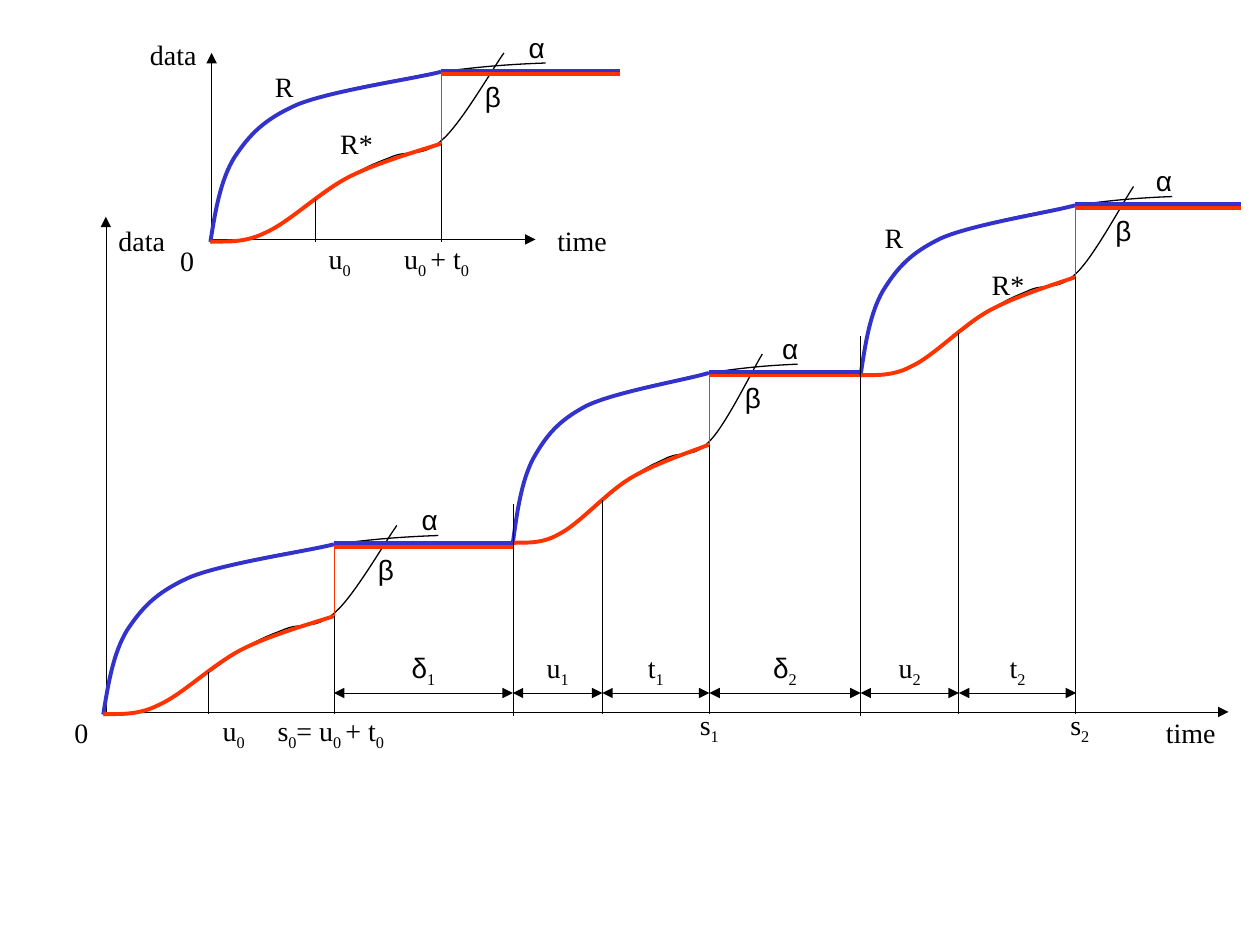
import itertools

import lxml.etree
import pptx
import pptx.dml.color
import pptx.enum.shapes
import pptx.enum.text
import pptx.oxml
import pptx.oxml.ns
import pptx.util

BLACK = pptx.dml.color.RGBColor(0x00, 0x00, 0x00)
BLUE = pptx.dml.color.RGBColor(0x33, 0x33, 0xCC)
RED = pptx.dml.color.RGBColor(0xFF, 0x33, 0x00)
SERIF, SANS = "Times New Roman", "Arial"

# Grid of 100 columns by 75 rows with square cells
WIDTH, HEIGHT = pptx.util.Inches(10), pptx.util.Inches(7.5)
CELL = WIDTH / 100
HAIR, THIN, THICK = 0.25, 0.75, 2.25
LABEL_H = 3.7
AXIS_Y, DIM_Y = 56.5, 55

# Bezier points after the start, as columns and rows from the stage's origin
UPPER_TREND = [(0.4, -2.5), (0.8, -4.9), (1.9, -6.7), (3.1, -8.5), (4.2, -9.8), (6.9, -10.9),
               (9.5, -12), (14.5, -12.8), (17.7, -13.4), (21, -13.9), (23.8, -14.1), (26.6, -14.2)]
LOWER_TREND = [(0.7, -0.1), (2.5, 0.2), (4.3, -0.7), (6.1, -1.5), (9.1, -4), (10.8, -5),
               (12.5, -6.1), (13.3, -6.3), (14.5, -6.8), (15.8, -7.3), (16.9, -6.7),
               (18.4, -8.1), (19.9, -9.4), (22.3, -13.6), (23.3, -15)]
R_CURVE = [(0.4, -2.5), (0.8, -4.9), (1.9, -6.7), (3.1, -8.5), (4.2, -9.7), (6.9, -10.9),
           (9.6, -12), (15.9, -12.9), (18.3, -13.5)]
R_STAR_CURVE = [(0.7, -0.1), (2.5, 0.2), (4.3, -0.7), (6.2, -1.5), (8.6, -3.9), (10.9, -5.1),
                (13.2, -6.3), (16.8, -7.3), (18.3, -7.8)]


def cells(n):
    return pptx.util.Emu(round(n * CELL))


def add_text(sp, text, left, top, width, font=SERIF, size=16, color=BLACK):
    """Add a centred label; every second part between bars is a subscript."""
    tb = sp.add_textbox(cells(left), cells(top), cells(width), cells(LABEL_H))
    tf = tb.text_frame
    tf.word_wrap = False
    tf.auto_size = pptx.enum.text.MSO_AUTO_SIZE.SHAPE_TO_FIT_TEXT
    tf.vertical_anchor = pptx.enum.text.MSO_ANCHOR.MIDDLE
    p = tf.paragraphs[0]
    p.alignment = pptx.enum.text.PP_ALIGN.CENTER
    for i, part in enumerate(text.split("|")):
        r = p.add_run()
        r.text = part
        r.font.size = pptx.util.Pt(size)
        r.font.color.rgb = color
        r.font.name = SERIF if i % 2 else font
        if i % 2:
            r._r.get_or_add_rPr().set("baseline", "-25000")


def add_centred(sp, text, x, y, width, **fmt):
    add_text(sp, text, x - width / 2, y - LABEL_H / 2, width, **fmt)


def add_line(sp, x1, y1, x2, y2, color=BLACK, width=HAIR, head=False, tail=False):
    c = sp.add_connector(pptx.enum.shapes.MSO_CONNECTOR.STRAIGHT,
                         cells(x1), cells(y1), cells(x2), cells(y2))
    c.line.color.rgb = color
    c.line.width = pptx.util.Pt(width)
    ln = c.line._get_or_add_ln()
    for tag, wanted in (("a:headEnd", head), ("a:tailEnd", tail)):
        if wanted:
            end = lxml.etree.SubElement(ln, pptx.oxml.ns.qn(tag))
            end.set("type", "triangle")
    lxml.etree.SubElement(c._element.spPr, pptx.oxml.ns.qn("a:effectLst"))


def add_curve(sp, x, y, scale, points, color=BLACK, width=THIN):
    """Draw a Bezier outline from x, y, with points scaled sideways."""
    fb = sp.build_freeform(cells(x), cells(y))
    fb.add_line_segments([(cells(x + dx * scale), cells(y + dy)) for dx, dy in points], close=False)
    shape = fb.convert_to_shape()
    shape.shadow.inherit = False
    shape.fill.background()
    shape.line.color.rgb = color
    shape.line.width = pptx.util.Pt(width)
    # Join each three segments into one cubic curve
    segments = list(shape._element.iter(pptx.oxml.ns.qn("a:lnTo")))
    for i in range(0, len(segments), 3):
        curve = lxml.etree.SubElement(segments[i].getparent(), pptx.oxml.ns.qn("a:cubicBezTo"))
        for segment in segments[i:i + 3]:
            curve.append(segment[0])
            segment.getparent().remove(segment)


def add_axes(sp, x, y, right, top):
    add_line(sp, right, y, x, y, head=True)
    add_line(sp, x, top, x, y, head=True)


def add_stage(sp, x, y, scale, end, base):
    """Draw both curves, their plateau up to end, and drops to the base."""
    step = x + 18.3 * scale
    middle = x + 8.35 * scale
    add_centred(sp, "α", x + 25.9 * scale, y - 15.45, 3.4, font=SANS)
    add_curve(sp, x, y, scale, UPPER_TREND)
    add_curve(sp, x, y, scale, LOWER_TREND)
    add_curve(sp, x, y, scale, R_CURVE, color=BLUE, width=THICK)
    add_curve(sp, x, y, scale, R_STAR_CURVE, color=RED, width=THICK)
    add_line(sp, step, y - 7.8, step, y - 13.4, color=RED)
    add_line(sp, step, y - 13.6, end, y - 13.6, color=BLUE, width=THICK)
    add_line(sp, step, y - 13.3, end, y - 13.3, color=RED, width=THICK)
    add_line(sp, step, base, step, y - 7.8)
    add_line(sp, middle, base, middle, y - 3.4)
    add_centred(sp, "β", x + 22.4 * scale, y - 11.55, 3.2, font=SANS)


def add_dimensions(sp):
    edges = [26.5, 40.7, 47.8, 56.3, 68.3, 76.1, 85.4]
    names = ["δ|1", "u|1", "t|1", "δ|2", "u|2", "t|2"]
    for (x1, x2), name in zip(itertools.pairwise(edges), names):
        add_line(sp, x1, DIM_Y, x2, DIM_Y, head=True, tail=True)
        add_centred(sp, name, (x1 + x2) / 2, 53.15, 3.4 if name[0] == "t" else 3.9,
                    font=SANS if name[0] == "δ" else SERIF)


def add_labels(sp, labels):
    for text, left, top, width in labels:
        add_text(sp, text, left, top, width)


def main():
    prs = pptx.Presentation()
    prs.slide_width, prs.slide_height = WIDTH, HEIGHT
    s = prs.slides.add_slide(prs.slide_layouts[6])

    # Small diagram: a single stage
    sp = s.shapes.add_group_shape().shapes
    add_axes(sp, 16.8, 19, 42.5, 4.2)
    add_stage(sp, 16.7, 19.2, 1, 49.2, 19.2)
    add_labels(sp, [("time", 43.2, 17.2, 6), ("data", 10.9, 2.5, 5.7), ("0", 13.3, 18.8, 3.1),
                    ("R*", 26, 9.5, 4.6), ("R", 20.8, 5, 3.5),
                    ("u|0", 25, 18.8, 3.9), ("u|0 |+ t|0", 31, 18.8, 7.3)])

    # Large diagram: three stages in a row
    sp = s.shapes.add_group_shape().shapes
    add_axes(sp, 8.4, AXIS_Y, 97.5, 17.2)
    stages = [(8.2, 56.7, 1, 40.7), (40.7, 43.1, 0.85, 68.3), (68.3, 29.8, 0.93, 98.5)]
    for x, y, scale, end in stages:
        add_stage(sp, x, y, scale, end, AXIS_Y + 0.2)
    for x, y, *_ in stages[1:]:
        add_line(sp, x, AXIS_Y + 0.3, x, y - 3.1)
    add_dimensions(sp)
    add_labels(sp, [("time", 91.5, 56.3, 6), ("data", 8.4, 17.2, 5.7), ("0", 4.9, 56.3, 3.1),
                    ("R*", 77.7, 20.7, 4.6), ("R", 69.2, 17, 3.5),
                    ("u|0", 16.6, 56.3, 3.9), ("s|0|= u|0 |+ t|0", 20.9, 56.3, 10.7),
                    ("s|1", 54.5, 55.8, 3.6), ("s|2", 83.9, 55.8, 3.6)])

    prs.save("out.pptx")


if __name__ == "__main__":
    main()
